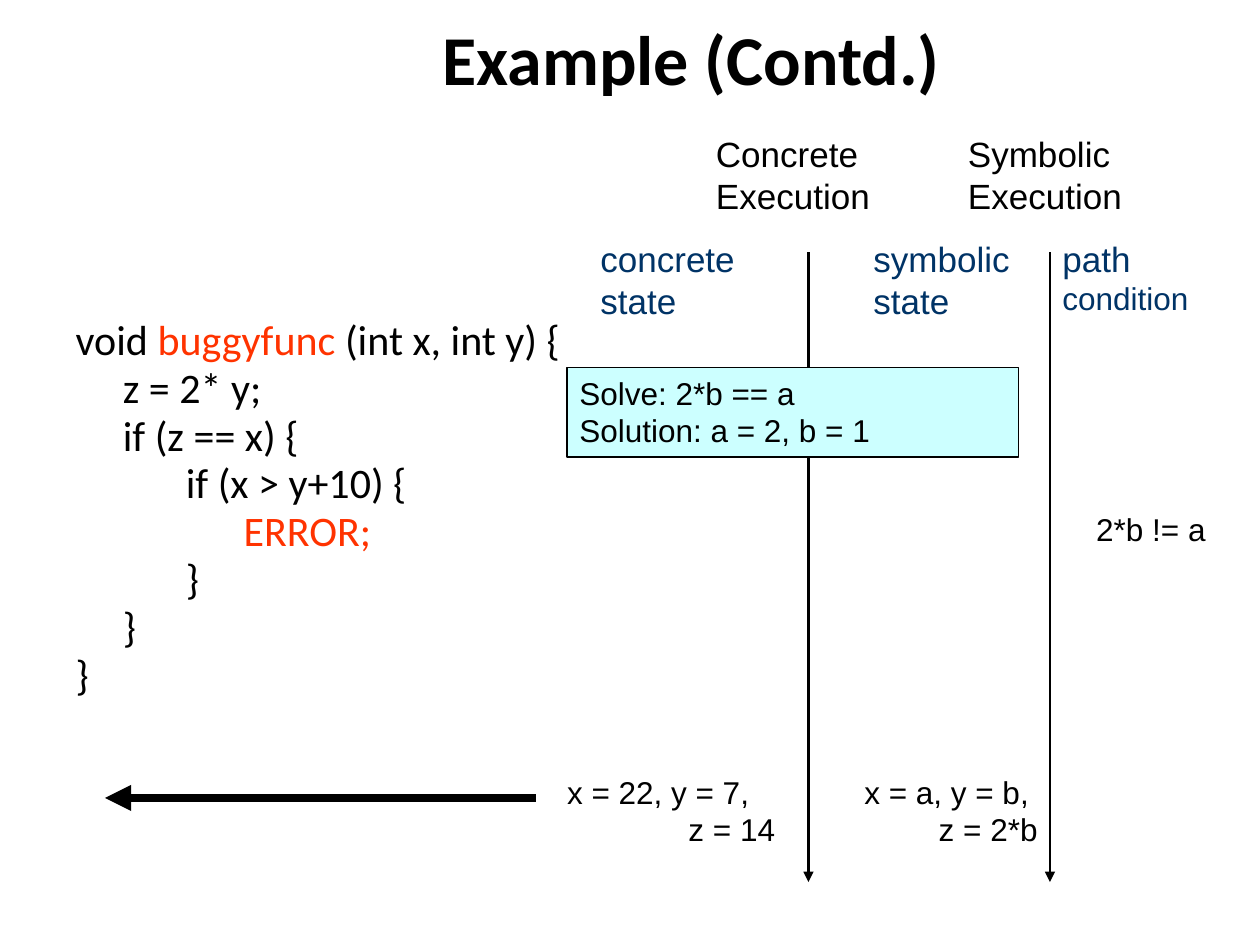
import pptx
import pptx.util
import pptx.dml.color
import pptx.enum.shapes
import pptx.enum.text
import pptx.oxml
import pptx.oxml.ns

Pt = pptx.util.Pt
ALIGN = pptx.enum.text.PP_ALIGN
ANCHOR = pptx.enum.text.MSO_ANCHOR
COLORS = {"black": "000000", "navy": "003366", "red": "FF3300", "cyan": "CCFFFF"}


def add_run(p, text, size, color="black", font="Arial", bold=False):
    r = p.add_run()
    r.text = text
    r.font.size = Pt(size)
    r.font.name = font
    r.font.bold = bold
    r.font.color.rgb = pptx.dml.color.RGBColor.from_string(COLORS[color])


def add_arrow(x1, y1, x2, y2, width):
    """Draw a black line with a triangle head at its second point."""
    line = s.shapes.add_connector(
        pptx.enum.shapes.MSO_CONNECTOR.STRAIGHT, Pt(x1), Pt(y1), Pt(x2), Pt(y2))
    line.line.width = Pt(width)
    line.line.color.rgb = pptx.dml.color.RGBColor.from_string(COLORS["black"])
    ln = line.line._get_or_add_ln()
    ln.append(pptx.oxml.parse_xml(
        f'<a:tailEnd {pptx.oxml.ns.nsdecls("a")} type="triangle"/>'))
    line._element.spPr.append(pptx.oxml.parse_xml(
        f'<a:effectLst {pptx.oxml.ns.nsdecls("a")}/>'))


prs = pptx.Presentation()
prs.slide_width, prs.slide_height = Pt(720), Pt(540)
s = prs.slides.add_slide(prs.slide_layouts[1])

# Title
title = s.shapes.title
title.left, title.top, title.width, title.height = Pt(244), Pt(5), Pt(302), Pt(55.5)
tf = title.text_frame
tf.word_wrap = False
tf.auto_size = pptx.enum.text.MSO_AUTO_SIZE.NONE
tf.vertical_anchor = ANCHOR.TOP
add_run(tf.paragraphs[0], "Example (Contd.)", 40, font="Calibri", bold=True)

# Code listing: left margin, then coloured pieces
code = [
    (0, [("void ", "black"), ("buggyfunc ", "red"), ("(int x, int y) {", "black")]),
    (27, [("z = 2* y;", "black")]),
    (27, [("if (z == x) {", "black")]),
    (63, [("if (x > y+10) {", "black")]),
    (96, [("ERROR;", "red")]),
    (63, [("}", "black")]),
    (27, [("}", "black")]),
    (0, [("}", "black")]),
]
body = s.placeholders[1]
body.left, body.top, body.width, body.height = Pt(36), Pt(181), Pt(318), Pt(240)
tf = body.text_frame
tf.word_wrap = True
tf.auto_size = pptx.enum.text.MSO_AUTO_SIZE.NONE
for i, (margin, pieces) in enumerate(code):
    p = tf.paragraphs[0] if i == 0 else tf.add_paragraph()
    p.line_spacing = 0.8
    p.space_before = Pt(4.3)
    pPr = p._p.get_or_add_pPr()
    pPr.set("marL", str(Pt(margin)))
    pPr.set("indent", "0")
    pPr.append(pptx.oxml.parse_xml(f'<a:buNone {pptx.oxml.ns.nsdecls("a")}/>'))
    for text, color in pieces:
        add_run(p, text, 24, color, "Calibri")

# Timelines and the arrow back to the code
for x in (462, 600):
    add_arrow(x, 144, x, 504, 1.5)
add_arrow(306, 456, 60, 456, 5)

# Column headings
headings = [
    (402, 72, 120, [("Concrete Execution", 20)], "black"),
    (546, 72, 120, [("Symbolic Execution", 20)], "black"),
    (336, 132, 108, [("concrete state", 20)], "navy"),
    (492, 132, 108, [("symbolic state", 20)], "navy"),
    (600, 132, 120, [("path ", 20), ("condition", 18)], "navy"),
]
for x, y, width, pieces, color in headings:
    tf = s.shapes.add_textbox(Pt(x), Pt(y), Pt(width), Pt(55.5)).text_frame
    tf.word_wrap = True
    for text, size in pieces:
        add_run(tf.paragraphs[0], text, size, color)

# Program states: each line has its alignment and left margin
states = [
    (306, 438, 144, 50.5, [("x = 22, y = 7,", ALIGN.LEFT, 11), ("z = 14", ALIGN.RIGHT, 0)]),
    (474, 438, 126, 50.5, [("x = a, y = b, ", ALIGN.RIGHT, 0), ("z = 2*b", ALIGN.RIGHT, 0)]),
    (600, 288, 96, 29, [("2*b != a", ALIGN.RIGHT, 0)]),
]
for x, y, width, height, lines in states:
    tf = s.shapes.add_textbox(Pt(x), Pt(y), Pt(width), Pt(height)).text_frame
    tf.word_wrap = True
    for i, (text, align, margin) in enumerate(lines):
        p = tf.paragraphs[0] if i == 0 else tf.add_paragraph()
        p.alignment = align
        p._p.get_or_add_pPr().set("marL", str(Pt(margin)))
        add_run(p, text, 18)

# Solver box
solver = s.shapes.add_shape(
    pptx.enum.shapes.MSO_SHAPE.RECTANGLE, Pt(324), Pt(210), Pt(258), Pt(51))
solver.shadow.inherit = False
solver.fill.solid()
solver.fill.fore_color.rgb = pptx.dml.color.RGBColor.from_string(COLORS["cyan"])
solver.line.color.rgb = pptx.dml.color.RGBColor.from_string(COLORS["black"])
solver.line.width = Pt(1)
tf = solver.text_frame
tf.word_wrap = True
tf.vertical_anchor = ANCHOR.TOP
for i, text in enumerate(["Solve: 2*b == a", "Solution: a = 2, b = 1"]):
    p = tf.paragraphs[0] if i == 0 else tf.add_paragraph()
    p.alignment = ALIGN.LEFT
    add_run(p, text, 18)

prs.save("out.pptx")
